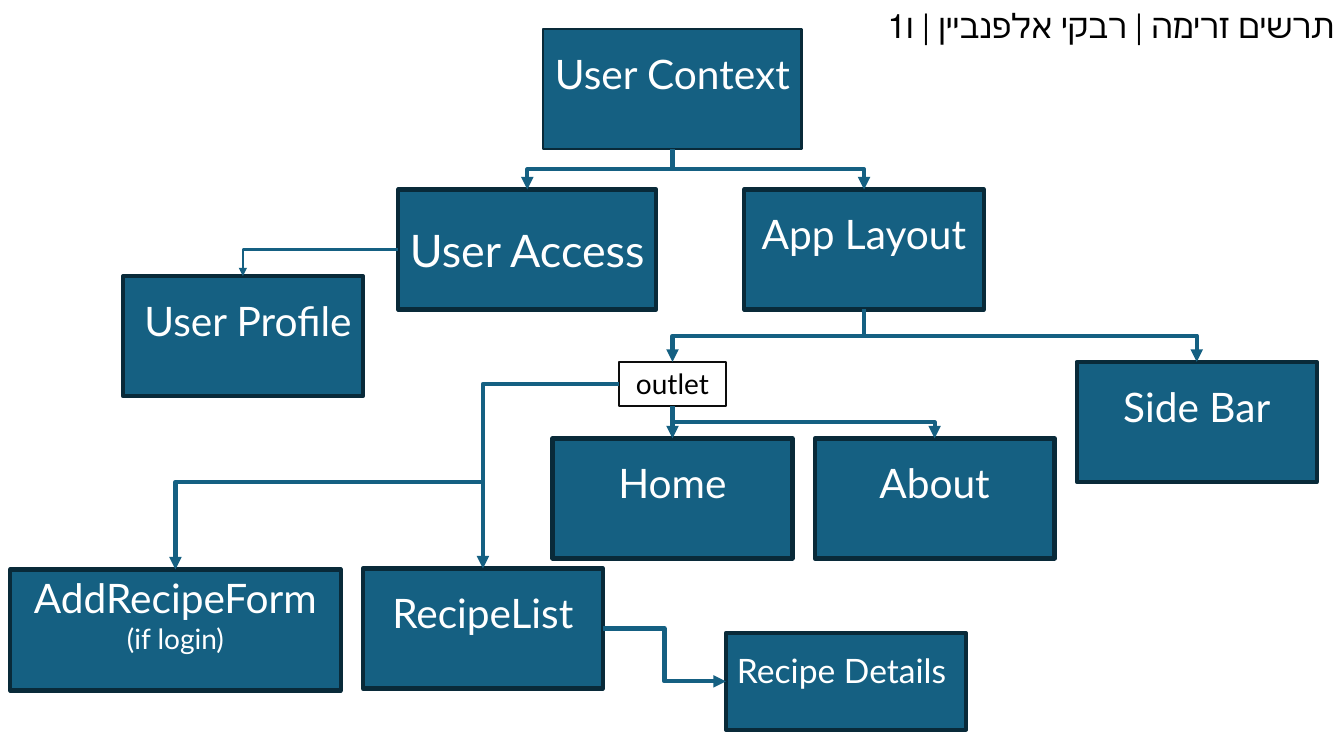
import lxml.etree
import pptx
import pptx.dml.color
import pptx.enum.shapes
import pptx.enum.text
import pptx.oxml.ns
import pptx.util

Inches, Pt = pptx.util.Inches, pptx.util.Pt
PP_ALIGN = pptx.enum.text.PP_ALIGN
ANCHOR = pptx.enum.text.MSO_ANCHOR
CONNECTOR = pptx.enum.shapes.MSO_CONNECTOR
TOP, LEFT, BOTTOM, RIGHT = range(4)
BLUE, NAVY, WHITE, BLACK = "156082", "092A39", "FFFFFF", "000000"
BOX_W, WIDE_W, BOX_H = 2.38, 2.56, 1.19

# name: (left, top, width, height, [(text, size)], changes to the box style)
BOXES = {
    "context": (5.39, 0.29, WIDE_W, BOX_H, [("User Context", 29)], {"weight": 1.5}),
    "access": (3.95, 1.88, WIDE_W, BOX_H, [("User Access", 32)], {"spacing": None}),
    "layout": (7.38, 1.88, BOX_W, BOX_H, [("App Layout", 29)], {}),
    "profile": (1.22, 2.74, BOX_W, BOX_H, [("User Profile ", 29)], {"rtl": True}),
    "side_bar": (10.68, 3.59, BOX_W, BOX_H, [("Side Bar", 29)], {}),
    "outlet": (6.14, 3.59, 1.06, 0.44, [("outlet", 20)],
               {"fill": None, "line": "0D0D0D", "weight": 1, "color": BLACK,
                "spacing": None, "anchor": ANCHOR.TOP}),
    "home": (5.48, 4.35, BOX_W, BOX_H, [("Home", 29)], {}),
    "about": (8.08, 4.35, BOX_W, BOX_H, [("About", 29)], {}),
    "add_form": (0.1, 5.65, 3.28, 1.2, [("AddRecipeForm", 29), ("(if login)", 20)], {}),
    "recipes": (3.6, 5.64, BOX_W, BOX_H, [("RecipeList", 29)], {}),
    "details": (7.2, 6.28, BOX_W, 0.96, [("Recipe Details ", 24)], {}),
}
TREE = [("context", "access"), ("context", "layout"), ("layout", "outlet"),
        ("layout", "side_bar"), ("outlet", "about")]


def rgb(value):
    return pptx.dml.color.RGBColor.from_string(value)


def assign(target, values):
    for name, value in values.items():
        setattr(target, name, value)


def side_point(sp, side):
    """Return the middle of one side of a shape."""
    return {TOP: (sp.left + sp.width // 2, sp.top),
            LEFT: (sp.left, sp.top + sp.height // 2),
            BOTTOM: (sp.left + sp.width // 2, sp.top + sp.height),
            RIGHT: (sp.left + sp.width, sp.top + sp.height // 2)}[side]


class FlowChart:
    font = "Lato"
    box_style = {"fill": BLUE, "line": NAVY, "weight": 3, "color": WHITE,
                 "spacing": Pt(12), "anchor": ANCHOR.MIDDLE, "rtl": False}

    def __init__(self, prs):
        self.s = prs.slides.add_slide(prs.slide_layouts[5])

    def add_text(self, p, text, size, color, rtl=False, **formats):
        assign(p, formats)
        if rtl:
            p._p.get_or_add_pPr().set("rtl", "1")
        r = p.add_run()
        r.text = text
        assign(r.font, {"name": self.font, "size": Pt(size)})
        r.font.color.rgb = rgb(color)

    def title(self, text, left, top, width, height):
        sp = self.s.shapes.title
        assign(sp, {"left": Inches(left), "top": Inches(top),
                    "width": Inches(width), "height": Inches(height)})
        tf = sp.text_frame
        assign(tf, {"word_wrap": True, "vertical_anchor": ANCHOR.TOP,
                    "auto_size": pptx.enum.text.MSO_AUTO_SIZE.NONE})
        self.add_text(tf.paragraphs[0], text, 24, BLACK, rtl=True,
                      alignment=PP_ALIGN.RIGHT, line_spacing=1.0, space_before=Pt(0))

    def box(self, left, top, width, height, lines, changes):
        style = {**self.box_style, **changes}
        sp = self.s.shapes.add_shape(
            pptx.enum.shapes.MSO_SHAPE.RECTANGLE,
            Inches(left), Inches(top), Inches(width), Inches(height))
        sp.shadow.inherit = False
        if style["fill"]:
            sp.fill.solid()
            sp.fill.fore_color.rgb = rgb(style["fill"])
        else:
            sp.fill.background()
        sp.line.color.rgb = rgb(style["line"])
        sp.line.width = Pt(style["weight"])
        tf = sp.text_frame
        assign(tf, {"word_wrap": True, "vertical_anchor": style["anchor"]})
        for i, (text, size) in enumerate(lines):
            p = tf.add_paragraph() if i else tf.paragraphs[0]
            self.add_text(p, text, size, style["color"], style["rtl"],
                          alignment=PP_ALIGN.CENTER, line_spacing=style["spacing"],
                          space_before=Pt(12 if i else 0))
        return sp

    def arrow(self, kind, start, end, weight=3):
        """Draw an arrow; each end is (shape, side) or (None, point)."""
        points = [side_point(sp, at) if sp else at for sp, at in (start, end)]
        c = self.s.shapes.add_connector(kind, *points[0], *points[1])
        for join, (sp, side) in ((c.begin_connect, start), (c.end_connect, end)):
            if sp:
                join(sp, side)
        c.line.color.rgb = rgb(BLUE)
        c.line.width = Pt(weight)
        qn = pptx.oxml.ns.qn
        lxml.etree.SubElement(c.line._get_or_add_ln(), qn("a:tailEnd"), type="triangle")
        lxml.etree.SubElement(c._element.spPr, qn("a:effectLst"))
        return c

    def corner(self, start, end, weight=3):
        """Draw an arrow that runs sideways, then down."""
        c = self.arrow(CONNECTOR.ELBOW, start, end, weight)
        c._element.spPr.prstGeom.set("prst", "bentConnector2")

    def branch(self, parent, child):
        """Draw an arrow that runs down, across, then down."""
        c = self.arrow(CONNECTOR.ELBOW, (parent, BOTTOM), (child, TOP))
        (x1, y1), (x2, y2) = side_point(parent, BOTTOM), side_point(child, TOP)
        drop, across = y2 - y1, abs(x2 - x1)
        assign(c, {"left": (x1 + x2 - drop) // 2, "top": (y1 + y2 - across) // 2,
                   "width": drop, "height": across})
        xfrm = c._element.spPr.xfrm
        to_right = x2 > x1
        xfrm.set("rot", str((270 if to_right else 90) * 60000))
        xfrm.set("flipH", "1" if to_right else "0")


def main():
    prs = pptx.Presentation()
    prs.slide_width, prs.slide_height = Inches(13.33), Inches(7.5)
    chart = FlowChart(prs)
    chart.title("תרשים זרימה | רבקי אלפנביין | ו1", 8.61, 0, 4.72, 0.5)
    nodes = {name: chart.box(*values) for name, values in BOXES.items()}

    for parent, child in TREE:
        chart.branch(nodes[parent], nodes[child])
    chart.arrow(CONNECTOR.STRAIGHT, (nodes["outlet"], BOTTOM), (nodes["home"], TOP))
    chart.arrow(CONNECTOR.ELBOW, (nodes["recipes"], RIGHT), (nodes["details"], LEFT))
    chart.corner((nodes["access"], LEFT), (nodes["profile"], TOP), weight=1.5)
    chart.corner((nodes["outlet"], LEFT), (nodes["recipes"], TOP))
    fork = (Inches(4.79), Inches(4.78))
    chart.corner((None, fork), (nodes["add_form"], TOP))
    prs.save("out.pptx")


if __name__ == "__main__":
    main()
